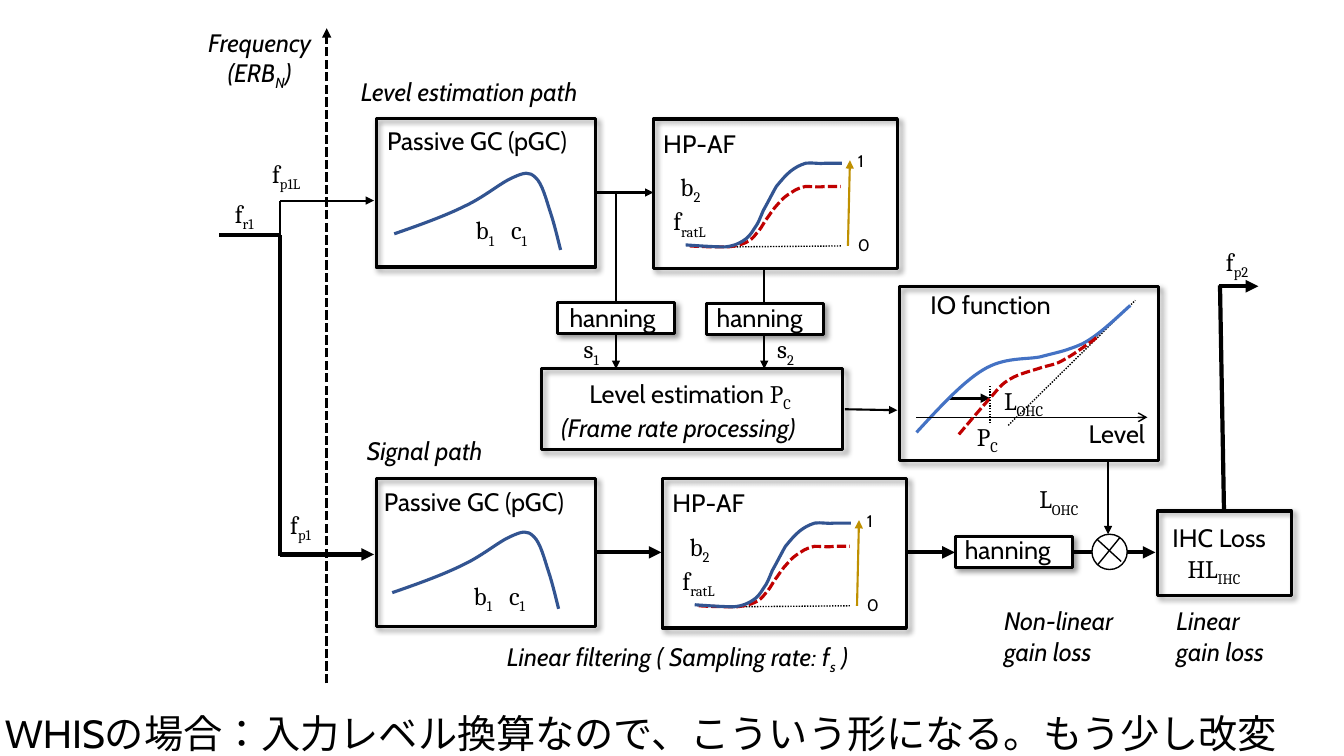
import lxml.etree
import pptx
import pptx.dml.color
import pptx.enum.dml
import pptx.enum.lang
import pptx.enum.shapes
import pptx.enum.text
import pptx.oxml.ns
import pptx.util

SANS, SERIF = "Cabin", "Cambria"
BLACK, WHITE, BLUE, LIGHT_BLUE, RED, GOLD = (
    "000000", "FFFFFF", "325491", "4472C4", "C00000", "BF9000")
DASH = pptx.enum.dml.MSO_LINE.SQUARE_DOT
DOT = pptx.enum.dml.MSO_LINE.ROUND_DOT
CENTER = pptx.enum.text.PP_ALIGN.CENTER
RECTANGLE = pptx.enum.shapes.MSO_SHAPE.RECTANGLE
OVAL = pptx.enum.shapes.MSO_SHAPE.OVAL
JAPANESE = pptx.enum.lang.MSO_LANGUAGE_ID.JAPANESE
qn = pptx.oxml.ns.qn

# Each curve is a start point followed by triples of Bezier points.
PASSIVE_CURVE = [
    (3.91, 2.32), (4.17, 2.23), (4.42, 2.14), (4.62, 2.04), (4.81, 1.95), (4.97, 1.81),
    (5.09, 1.76), (5.2, 1.71), (5.25, 1.7), (5.31, 1.76), (5.38, 1.82), (5.42, 1.99),
    (5.46, 2.11), (5.5, 2.23), (5.53, 2.36), (5.56, 2.48)]
HIGH_PASS_LOSS = [
    (6.84, 2.44), (6.98, 2.45), (7.13, 2.45), (7.22, 2.45), (7.31, 2.44), (7.34, 2.43),
    (7.39, 2.41), (7.44, 2.39), (7.47, 2.36), (7.5, 2.32), (7.54, 2.28), (7.56, 2.24),
    (7.59, 2.19), (7.63, 2.14), (7.67, 2.07), (7.72, 2.02), (7.76, 1.97), (7.8, 1.94),
    (7.85, 1.91), (7.89, 1.88), (7.94, 1.86), (7.99, 1.85), (8.05, 1.85), (8.13, 1.86),
    (8.19, 1.85), (8.24, 1.85), (8.29, 1.85), (8.34, 1.85)]
HIGH_PASS_NORMAL = [
    (6.8, 2.43), (6.94, 2.44), (7.09, 2.45), (7.19, 2.45), (7.28, 2.44), (7.32, 2.42),
    (7.37, 2.39), (7.42, 2.36), (7.45, 2.32), (7.48, 2.27), (7.52, 2.22), (7.54, 2.16),
    (7.57, 2.09), (7.61, 2.02), (7.66, 1.92), (7.7, 1.85), (7.75, 1.79), (7.79, 1.74),
    (7.84, 1.7), (7.89, 1.66), (7.93, 1.64), (7.99, 1.62), (8.05, 1.61), (8.13, 1.63),
    (8.19, 1.62), (8.25, 1.62), (8.3, 1.62), (8.35, 1.62)]
IO_NORMAL = [
    (9.09, 4.29), (9.32, 4.04), (9.55, 3.79), (9.75, 3.67), (9.96, 3.54), (10.18, 3.57),
    (10.32, 3.54), (10.47, 3.5), (10.53, 3.49), (10.61, 3.46), (10.7, 3.43), (10.75, 3.41),
    (10.85, 3.34), (10.95, 3.27), (11.08, 3.15), (11.21, 3.03)]
IO_LOSS = [
    (9.51, 4.31), (9.62, 4.18), (9.73, 4.05), (9.82, 3.95), (9.9, 3.86), (9.93, 3.81),
    (10.02, 3.76), (10.1, 3.71), (10.23, 3.68), (10.32, 3.65), (10.41, 3.62), (10.47, 3.62),
    (10.55, 3.57), (10.63, 3.53), (10.75, 3.44), (10.81, 3.4), (10.87, 3.36), (10.88, 3.34),
    (10.9, 3.33)]


def length(inches):
    return pptx.util.Cm(inches * 2.54)


def rgb(color):
    return pptx.dml.color.RGBColor.from_string(color)


def add_runs(paragraph, content, font=SANS, size=18, italic=False, language=None):
    """Add runs to a paragraph; _{...} marks a subscript."""
    for index, part in enumerate(content.replace("}", "_{").split("_{")):
        if part:
            run = paragraph.add_run()
            run.text = part
            run.font.name, run.font.size = font, pptx.util.Pt(size)
            run.font.italic = italic
            run.font.color.rgb = rgb(BLACK)
            if language:
                run.font.language_id = language
            if index % 2:
                run.font._element.set("baseline", "-25000")


class Diagram:
    def __init__(self, slide):
        self.shapes = slide.shapes

    def style_line(self, line, color, width, dash=None):
        line.color.rgb = rgb(color)
        line.width = pptx.util.Pt(width)
        if dash:
            line.dash_style = dash

    def box(self, left, top, width, height, fill=None, kind=RECTANGLE, line=2.25, shadow=True):
        shape = self.shapes.add_shape(kind, *map(length, (left, top, width, height)))
        shape.shadow.inherit = False
        if fill:
            shape.fill.solid()
            shape.fill.fore_color.rgb = rgb(fill)
        else:
            shape.fill.background()
        self.style_line(shape.line, BLACK, line)
        if shadow:
            effects = shape._element.spPr.find(qn("a:effectLst"))
            outer = lxml.etree.SubElement(
                effects, qn("a:outerShdw"), blurRad=str(pptx.util.Pt(4)),
                dist=str(pptx.util.Pt(3)), dir="2700000", algn="tl", rotWithShape="0")
            tint = lxml.etree.SubElement(outer, qn("a:srgbClr"), val=BLACK)
            lxml.etree.SubElement(tint, qn("a:alpha"), val="40000")

    def line(self, x1, y1, x2, y2, width=1.5, tail=None, color=BLACK, dash=None):
        connector = self.shapes.add_connector(
            pptx.enum.shapes.MSO_CONNECTOR.STRAIGHT, *map(length, (x1, y1, x2, y2)))
        self.style_line(connector.line, color, width, dash)
        properties = connector._element.spPr
        if tail:
            lxml.etree.SubElement(properties.find(qn("a:ln")), qn("a:tailEnd"), type=tail)
        lxml.etree.SubElement(properties, qn("a:effectLst"))

    def arrow(self, *ends, **style):
        self.line(*ends, tail="triangle", **style)

    def curve(self, points, color, dash=None, dx=0, dy=0):
        corners = [(length(x + dx), length(y + dy)) for x, y in points]
        builder = self.shapes.build_freeform(*corners[0])
        builder.add_line_segments(corners[1:], close=False)
        shape = builder.convert_to_shape()
        shape.shadow.inherit = False
        shape.fill.background()
        self.style_line(shape.line, color, 2.25, dash)
        outline = next(shape._element.iter(qn("a:path")))
        segments = outline.findall(qn("a:lnTo"))
        for start in range(0, len(segments), 3):
            bezier = lxml.etree.SubElement(outline, qn("a:cubicBezTo"))
            for segment in segments[start:start + 3]:
                bezier.append(segment[0])
                outline.remove(segment)

    def text(self, left, top, width, content, height=0.4, wrap=True, align=None, **style):
        """Add a text box, one paragraph per line, and return its last paragraph."""
        shape = self.shapes.add_textbox(*map(length, (left, top, width, height)))
        frame = shape.text_frame
        frame.word_wrap = wrap
        frame.auto_size = pptx.enum.text.MSO_AUTO_SIZE.SHAPE_TO_FIT_TEXT
        for index, row in enumerate(content.split("\n")):
            paragraph = frame.add_paragraph() if index else frame.paragraphs[0]
            paragraph.alignment = align
            add_runs(paragraph, row, **style)
        return paragraph

    def symbol(self, left, top, width, content, wrap=False):
        self.text(left, top, width, content, wrap=wrap, font=SERIF)

    def hanning(self, left, top, text_left, text_top):
        self.box(left, top, 1.16, 0.31, fill=WHITE)
        self.text(text_left, text_top, 1.15, "hanning")

    def passive_filter(self, top, title_left, title_top, symbol_top, dx=0, dy=0):
        self.box(3.73, top, 2.18, 1.47)
        self.text(title_left, title_top, 2.15, "Passive GC (pGC)")
        self.symbol(4.62 + dx, symbol_top, 0.45, "b_{1}", wrap=True)
        self.symbol(4.97 + dx, symbol_top, 0.45, "c_{1}", wrap=True)
        self.curve(PASSIVE_CURVE, BLUE, dx=dx, dy=dy)

    def high_pass_filter(self, dx=0, dy=0):
        self.box(6.48 + dx, 1.18 + dy, 2.42, 1.48)
        self.symbol(6.65 + dx, 1.65 + dy, 0.45, "b_{2}", wrap=True)
        self.symbol(6.58 + dx, 1.99 + dy, 0.67, "f_{ratL}")
        self.text(6.48 + dx, 1.22 + dy, 0.96, "HP-AF")
        self.line(7.17 + dx, 2.45 + dy, 8.34 + dx, 2.44 + dy, width=1, dash=DOT)
        self.arrow(8.41 + dx, 2.44 + dy, 8.43 + dx, 1.59 + dy, color=GOLD)
        for top, value in ((2.28, "0"), (1.45, "1")):
            self.text(8.41 + dx, top + dy, 0.29, value, height=0.3, wrap=False, size=12)
        self.curve(HIGH_PASS_LOSS, RED, DASH, dx, dy)
        self.curve(HIGH_PASS_NORMAL, BLUE, None, dx, dy)


def draw_inputs(diagram):
    diagram.arrow(3.24, 6.78, 3.24, 0.28, width=2.25, dash=DASH)
    diagram.text(1.92, 0.22, 1.31, "Frequency\n(ERB_{N})", height=0.71, wrap=False,
                 align=CENTER, italic=True)
    diagram.arrow(2.78, 1.99, 3.71, 1.99)
    diagram.line(2.78, 1.99, 2.78, 2.33)
    diagram.line(2.78, 2.33, 2.17, 2.33, width=3)
    diagram.line(2.78, 2.33, 2.78, 5.52, width=3)
    diagram.arrow(2.78, 5.5, 3.71, 5.5, width=3)
    diagram.symbol(2.23, 1.92, 0.49, "f_{r1}")
    diagram.symbol(2.6, 1.52, 0.61, "f_{p1L}")
    diagram.symbol(2.78, 5, 0.49, "f_{p1}")


def draw_level_path(diagram):
    diagram.text(3.48, 0.71, 3.63, "Level estimation path", italic=True)
    diagram.passive_filter(1.18, 3.74, 1.19, 2.08)
    diagram.arrow(5.9, 1.91, 6.48, 1.91)
    diagram.arrow(6.11, 1.91, 6.11, 3.66)
    diagram.arrow(7.58, 2.65, 7.58, 3.66)
    diagram.high_pass_filter()
    diagram.hanning(5.53, 3, 5.55, 2.95)
    diagram.hanning(7.01, 3.01, 7.01, 2.95)
    diagram.symbol(5.69, 3.26, 0.41, "s_{1}")
    diagram.symbol(7.61, 3.26, 0.41, "s_{2}")
    diagram.box(5.37, 3.66, 2.99, 0.8)
    title = diagram.text(5.26, 3.7, 3.17, "Level estimation ", align=CENTER)
    add_runs(title, "P_{C}", font=SERIF)
    diagram.text(5.47, 4.04, 2.9, "(Frame rate processing)", italic=True)
    diagram.arrow(8.38, 4.06, 8.9, 4.07)


def draw_io_function(diagram):
    diagram.box(8.92, 2.84, 2.57, 1.73)
    diagram.text(9.13, 2.82, 1.43, "IO function")
    diagram.line(10, 4.22, 11.26, 2.98, width=1, dash=DOT)
    diagram.arrow(9.41, 3.95, 9.82, 3.95, width=2.25)
    diagram.symbol(9.86, 3.77, 1.02, "L_{OHC}", wrap=True)
    diagram.text(10.7, 4.1, 0.77, "Level")
    diagram.curve(IO_NORMAL, LIGHT_BLUE)
    diagram.line(9.09, 4.14, 11.38, 4.14, width=1, tail="arrow")
    diagram.curve(IO_LOSS, RED, DASH)
    diagram.line(9.82, 4.2, 9.82, 3.83, width=1, dash=DOT)
    diagram.symbol(9.59, 4.13, 0.62, "P_{C}", wrap=True)


def draw_signal_path(diagram):
    diagram.text(3.54, 4.27, 1.58, "Signal path", italic=True)
    diagram.passive_filter(4.75, 3.71, 4.78, 5.71, dx=-0.02, dy=3.56)
    diagram.high_pass_filter(dx=0.09, dy=3.57)
    for start, end in ((5.9, 6.56), (9, 9.47), (10.64, 11.46)):
        diagram.arrow(start, 5.48, end, 5.48, width=3)
    diagram.hanning(9.48, 5.32, 9.47, 5.25)
    diagram.arrow(10.99, 4.56, 10.99, 5.3)
    diagram.symbol(10.21, 4.75, 1.03, "L_{OHC}", wrap=True)
    diagram.box(10.83, 5.3, 0.35, 0.35, fill=WHITE, kind=OVAL, line=1, shadow=False)
    diagram.line(11.11, 5.33, 10.89, 5.6, width=1)
    diagram.line(11.12, 5.57, 10.88, 5.35, width=1)
    diagram.box(11.48, 5.07, 1.33, 0.84)
    diagram.text(11.53, 5.13, 1.17, "IHC Loss")
    diagram.symbol(11.68, 5.44, 1.03, "HL_{IHC}", wrap=True)
    diagram.line(12.1, 2.83, 12.14, 5.07, width=3)
    diagram.arrow(12.09, 2.84, 12.48, 2.84, width=3)
    diagram.symbol(12.06, 2.39, 0.49, "f_{p2}")
    diagram.text(4.93, 6.31, 3.98, "Linear filtering ( Sampling rate: f_{s} )", italic=True)
    diagram.text(9.86, 5.96, 1.53, "Non-linear\ngain loss", height=0.71, italic=True)
    diagram.text(11.57, 5.96, 1.15, "Linear gain loss", height=0.71, italic=True)


def main():
    presentation = pptx.Presentation()
    presentation.slide_width, presentation.slide_height = length(13.33), length(7.5)
    diagram = Diagram(presentation.slides.add_slide(presentation.slide_layouts[6]))
    draw_inputs(diagram)
    draw_level_path(diagram)
    draw_io_function(diagram)
    draw_signal_path(diagram)
    diagram.text(-0.05, 6.99, 12.94, "WHISの場合：入力レベル換算なので、こういう形になる。もう少し改変",
                 height=0.57, wrap=False, size=28, language=JAPANESE)
    presentation.save("out.pptx")


if __name__ == "__main__":
    main()
